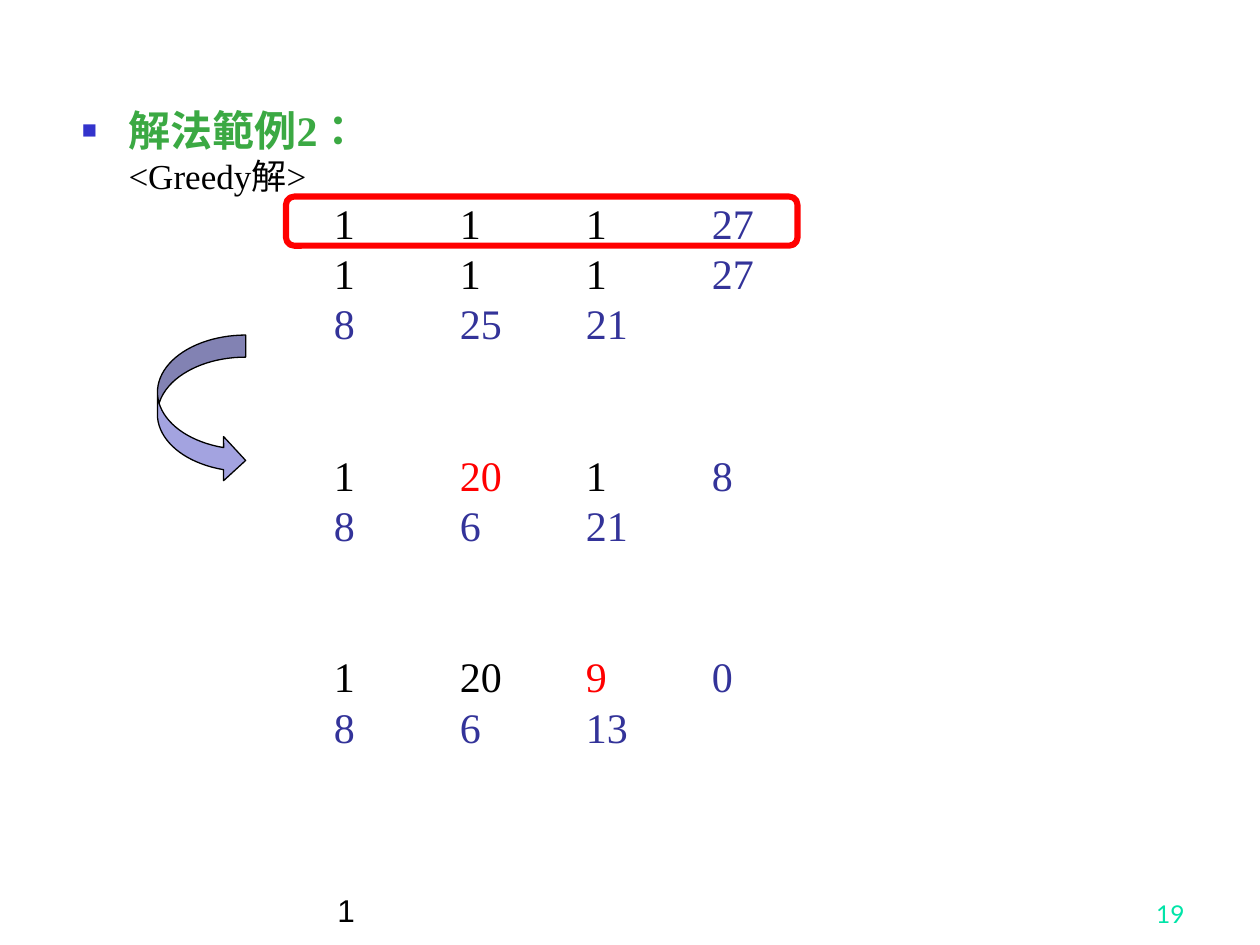
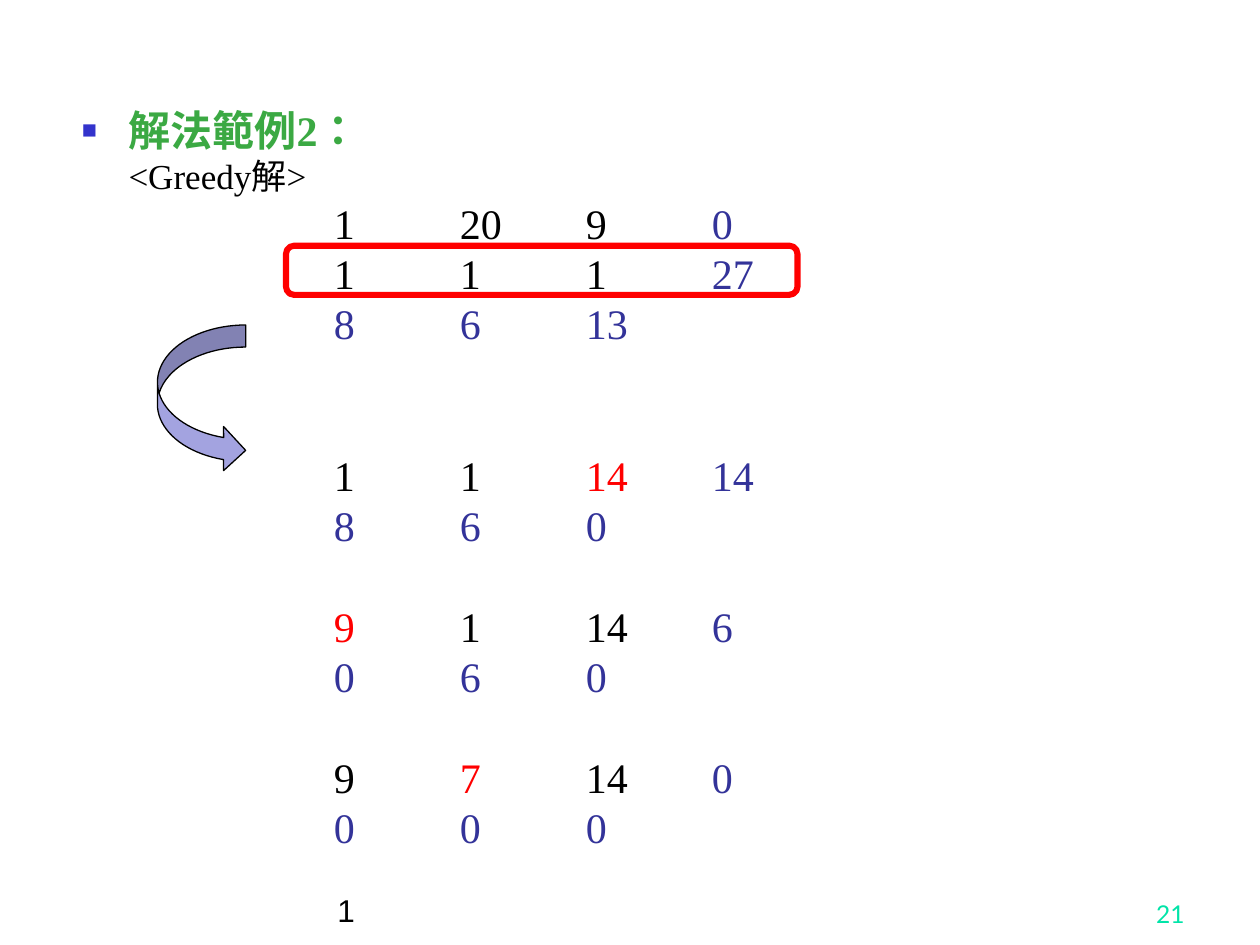
from pptx import Presentation
from pptx.dml.color import RGBColor
from pptx.enum.shapes import MSO_SHAPE
from pptx.enum.text import MSO_ANCHOR, MSO_AUTO_SIZE, PP_ALIGN
from pptx.oxml.ns import qn
from pptx.util import Pt
from lxml.etree import SubElement

PX = 9144  # 100 px to the inch

BLACK = RGBColor(0, 0, 0)
RED = RGBColor(0xFF, 0, 0)
BLUE = RGBColor(0x33, 0x33, 0x99)
GREEN = RGBColor(0x3B, 0xA9, 0x43)
MINT = RGBColor(0x00, 0xE4, 0xA8)
LILAC = RGBColor(0xA3, 0xA3, 0xE0)
BULLET = "3333CC"

SERIF = "Times New Roman"
PITCH = 28.8  # height of one number row in points
INDENT = 37   # headings
START = 200   # first number of a row
STEP = 100    # from number to number

# Each row: blank lines above, numbers, index of the changed number.
# Four numbers end with what is left to place; three are the room left.
FIRST = [
    (0, "1 1 1 27", None),
    (0, "1 1 1 27", None),
    (0, "8 25 21", None),
    (2, "1 20 1 8", 1),
    (0, "8 6 21", None),
    (2, "1 20 9 0", 2),
    (0, "8 6 13", None),
]
SECOND = [
    (0, "1 20 9 0", None),
    (0, "1 1 1 27", None),
    (0, "8 6 13", None),
    (2, "1 1 14 14", 2),
    (0, "8 6 0", None),
    (1, "9 1 14 6", 0),
    (0, "0 6 0", None),
    (1, "9 7 14 0", 1),
    (0, "0 0 0", None),
]


class Deck:
    def __init__(self):
        self.prs = Presentation()
        self.prs.slide_width = 1000 * PX
        self.prs.slide_height = 750 * PX
        self.slide = None

    def start(self):
        self.slide = self.prs.slides.add_slide(self.prs.slide_layouts[1])
        title = self.slide.shapes.title._element
        title.getparent().remove(title)

    def place(self, *box):
        return [n * PX for n in box]

    def style(self, para, size, name, color=None, bold=False):
        font = para.font
        font.size, font.name, font.bold = Pt(size), name, bold
        if color is not None:
            font.color.rgb = color

    def layout(self, para, left, bullet=False):
        """Set indent, bullet and tab distance."""
        props = para._p.get_or_add_pPr()
        props.set("marL", str(left * PX))
        props.set("indent", str(-left * PX if bullet else 0))
        props.set("defTabSz", str(STEP * PX))
        para.space_before = para.space_after = Pt(0)
        if bullet:
            color = SubElement(props, qn("a:buClr"))
            SubElement(color, qn("a:srgbClr"), val=BULLET)
            SubElement(props, qn("a:buSzPct"), val="60000")
            SubElement(props, qn("a:buChar"), char="■")
        else:
            SubElement(props, qn("a:buNone"))

    def head(self, para, text, size, color, mark):
        """Write a heading in traditional Chinese."""
        run = para.add_run()
        run.text = text
        run._r.get_or_add_rPr().set("lang", "zh-TW")
        self.layout(para, INDENT, bullet=mark)
        self.style(para, size, SERIF, color, mark)

    def body(self, rows):
        shape = self.slide.placeholders[1]
        shape.left, shape.top, shape.width, shape.height = self.place(55, 78, 883, 615)
        frame = shape.text_frame
        frame.auto_size = MSO_AUTO_SIZE.NONE
        # Headings
        self.head(frame.paragraphs[0], "解法範例2：", 24, GREEN, True)
        self.head(frame.add_paragraph(), "<Greedy解>", 20, BLACK, False)
        # Number rows
        for gap, text, hit in rows:
            self.row(frame.add_paragraph(), gap, text.split(), hit)

    def row(self, para, gap, nums, hit):
        self.layout(para, START)
        para.line_spacing = Pt(PITCH)
        para.space_before = Pt(gap * PITCH)
        self.style(para, 24, SERIF)
        for col, num in enumerate(nums):
            run = para.add_run()
            run.text = "\t" + num if col else num
            if col == hit:
                color = RED
            elif len(nums) == 3 or col == 3:
                color = BLUE
            else:
                color = BLACK
            run.font.color.rgb = color

    def shape(self, kind, box, line, width, fill=None):
        shape = self.slide.shapes.add_shape(kind, *self.place(*box))
        shape.shadow.inherit = False
        shape.line.color.rgb = line
        shape.line.width = Pt(width)
        if fill is None:
            shape.fill.background()
        else:
            shape.fill.solid()
            shape.fill.fore_color.rgb = fill

    def foot(self, text, box, size, name, color, align):
        frame = self.slide.shapes.add_textbox(*self.place(*box)).text_frame
        frame.word_wrap = True
        frame.vertical_anchor = MSO_ANCHOR.BOTTOM
        para = frame.paragraphs[0]
        para.text = text
        para.alignment = align
        self.style(para, size, name, color)

    def step(self, rows, arrow, frame, page):
        """Build one slide of the worked example."""
        self.start()
        self.body(rows)
        self.shape(MSO_SHAPE.CURVED_RIGHT_ARROW, (125, arrow, 70, 117), BLACK, 0.75, LILAC)
        self.shape(MSO_SHAPE.ROUNDED_RECTANGLE, (227, frame, 406, 39), RED, 3.5)
        self.foot("1", (258, 692, 542, 50), 18, "Arial", BLACK, PP_ALIGN.LEFT)
        self.foot(page, (742, 692, 208, 50), 14, "Lato", MINT, PP_ALIGN.RIGHT)


def main():
    deck = Deck()
    deck.step(FIRST, arrow=266, frame=156, page="19")
    deck.step(SECOND, arrow=258, frame=195, page="21")
    deck.prs.save("out.pptx")


if __name__ == "__main__":
    main()
